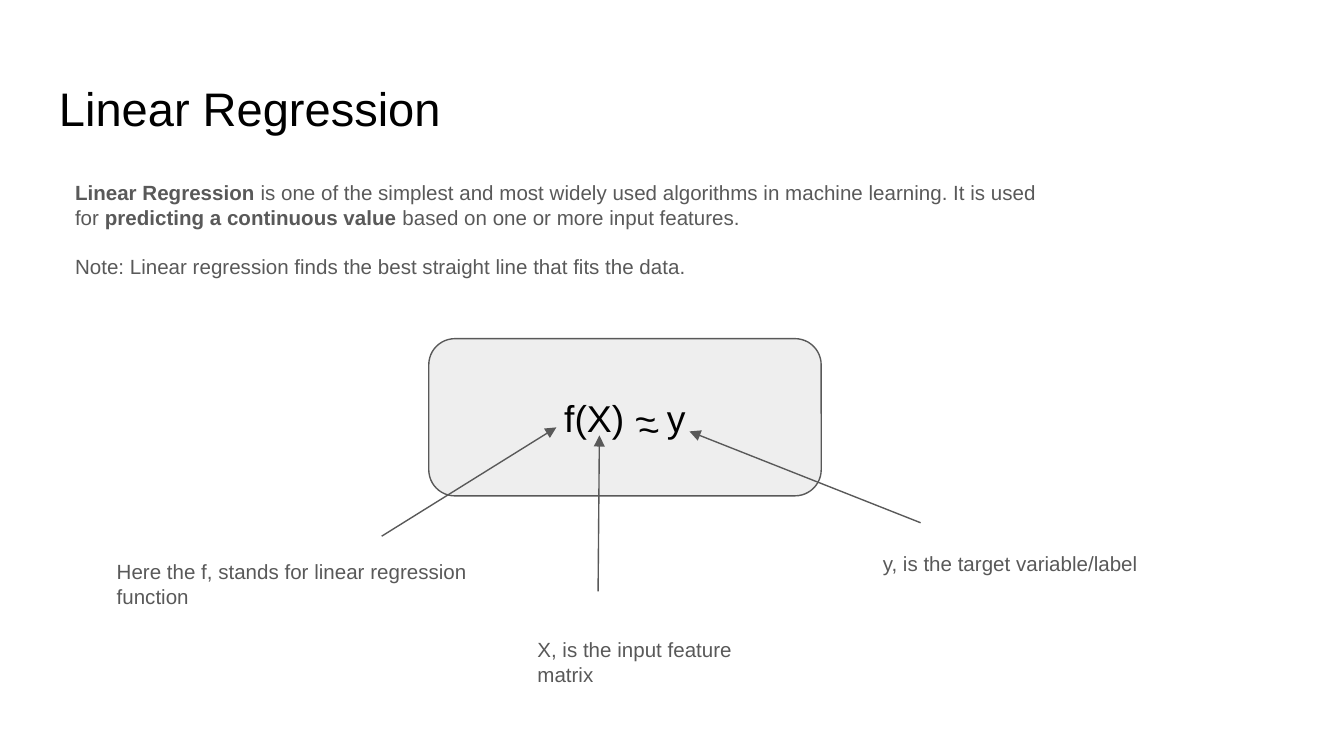
from lxml import etree
from pptx import Presentation
from pptx.dml.color import RGBColor
from pptx.enum.shapes import MSO_CONNECTOR, MSO_SHAPE
from pptx.enum.text import MSO_ANCHOR, PP_ALIGN
from pptx.oxml.ns import qn
from pptx.util import Inches, Pt

BLACK = RGBColor(0x00, 0x00, 0x00)
GRAY = RGBColor(0x59, 0x59, 0x59)
LIGHT = RGBColor(0xEE, 0xEE, 0xEE)


class SlideBuilder:
    font = "Arial"
    line_width = Pt(0.75)
    inset = Inches(0.1)

    def __init__(self, slide):
        self.slide = slide

    def prepare(self, frame):
        frame.word_wrap = True
        frame.margin_left = frame.margin_right = self.inset
        frame.margin_top = frame.margin_bottom = self.inset

    def format_run(self, run, size, color, bold=False):
        run.font.name = self.font
        run.font.size = Pt(size)
        run.font.color.rgb = color
        run.font.bold = bold

    def text(self, box, paragraphs, size=11, color=GRAY, gap=0):
        """Each paragraph is a list of (wording, bold) pairs."""
        frame = self.slide.shapes.add_textbox(*map(Inches, box)).text_frame
        self.prepare(frame)
        for index, parts in enumerate(paragraphs):
            paragraph = frame.add_paragraph() if index else frame.paragraphs[0]
            paragraph.space_before = Pt(gap if index else 0)
            for wording, bold in parts:
                run = paragraph.add_run()
                run.text = wording
                self.format_run(run, size, color, bold)

    def rounded_box(self, box, wording, size):
        shape = self.slide.shapes.add_shape(
            MSO_SHAPE.ROUNDED_RECTANGLE, *map(Inches, box))
        shape.shadow.inherit = False
        shape.fill.solid()
        shape.fill.fore_color.rgb = LIGHT
        shape.line.color.rgb = GRAY
        shape.line.width = self.line_width
        frame = shape.text_frame
        self.prepare(frame)
        frame.vertical_anchor = MSO_ANCHOR.MIDDLE
        frame.text = wording
        frame.paragraphs[0].alignment = PP_ALIGN.CENTER
        self.format_run(frame.paragraphs[0].runs[0], size, BLACK)

    def arrow(self, start, end):
        connector = self.slide.shapes.add_connector(
            MSO_CONNECTOR.STRAIGHT, *map(Inches, start + end))
        connector.line.color.rgb = GRAY
        connector.line.width = self.line_width
        etree.SubElement(connector.line._get_or_add_ln(), qn("a:tailEnd"),
                         type="triangle", w="med", len="med")
        etree.SubElement(connector._element.spPr, qn("a:effectLst"))


def main():
    # Widescreen slide, 16:9
    presentation = Presentation()
    presentation.slide_width = Inches(10)
    presentation.slide_height = Inches(10 * 9 / 16)
    builder = SlideBuilder(
        presentation.slides.add_slide(presentation.slide_layouts[6]))

    # Title and introduction
    builder.text((0.34, 0.49, 9.32, 0.63), [[("Linear Regression", False)]],
                 size=25.2, color=BLACK)
    definition = [
        ("Linear Regression", True),
        (" is one of the simplest and most widely used algorithms in machine "
         "learning. It is used for ", False),
        ("predicting a continuous value", True),
        (" based on one or more input features.", False),
    ]
    note = [("Note: Linear regression finds the best straight line that fits "
             "the data.", False)]
    builder.text((0.46, 1.24, 7.48, 1.17), [definition, note], gap=13)

    # Formula: a second tilde below the first makes the "approximately" sign
    builder.rounded_box((3.19, 2.52, 2.92, 1.17), "f(X) ~ y", 20)
    builder.text((4.65, 2.92, 0.35, 0.54), [[("~", False)]],
                 size=20, color=BLACK)

    # Explanations, each with an arrow to its symbol
    explanations = [
        ("Here the f, stands for linear regression function",
         (0.77, 4.06, 3.03, 0.57), (2.84, 3.99), (4.14, 3.18)),
        ("X, is the input feature matrix",
         (3.9, 4.64, 1.85, 0.51), (4.45, 4.4), (4.46, 3.24)),
        ("y, is the target variable/label",
         (6.47, 4.01, 2.95, 0.39), (6.85, 3.89), (5.13, 3.21)),
    ]
    for wording, box, start, end in explanations:
        builder.arrow(start, end)
        builder.text(box, [[(wording, False)]])

    presentation.save("out.pptx")


if __name__ == "__main__":
    main()
